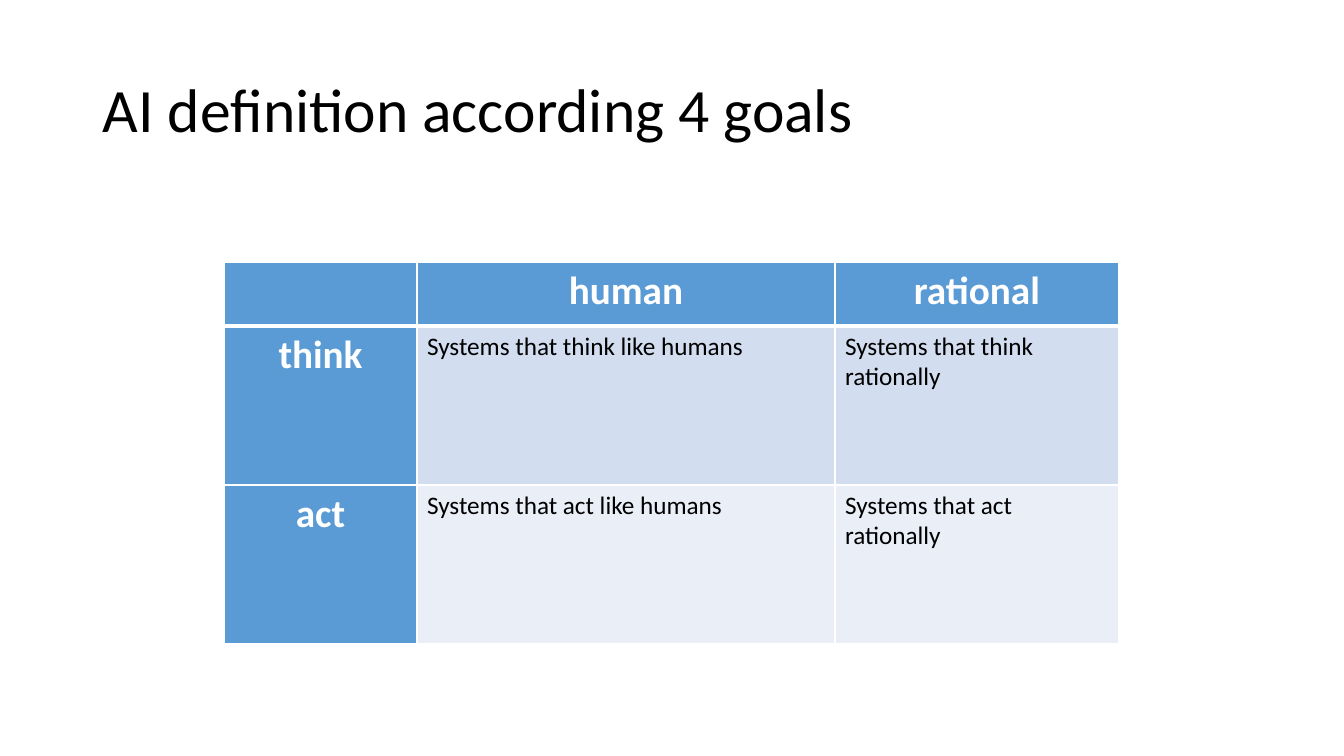
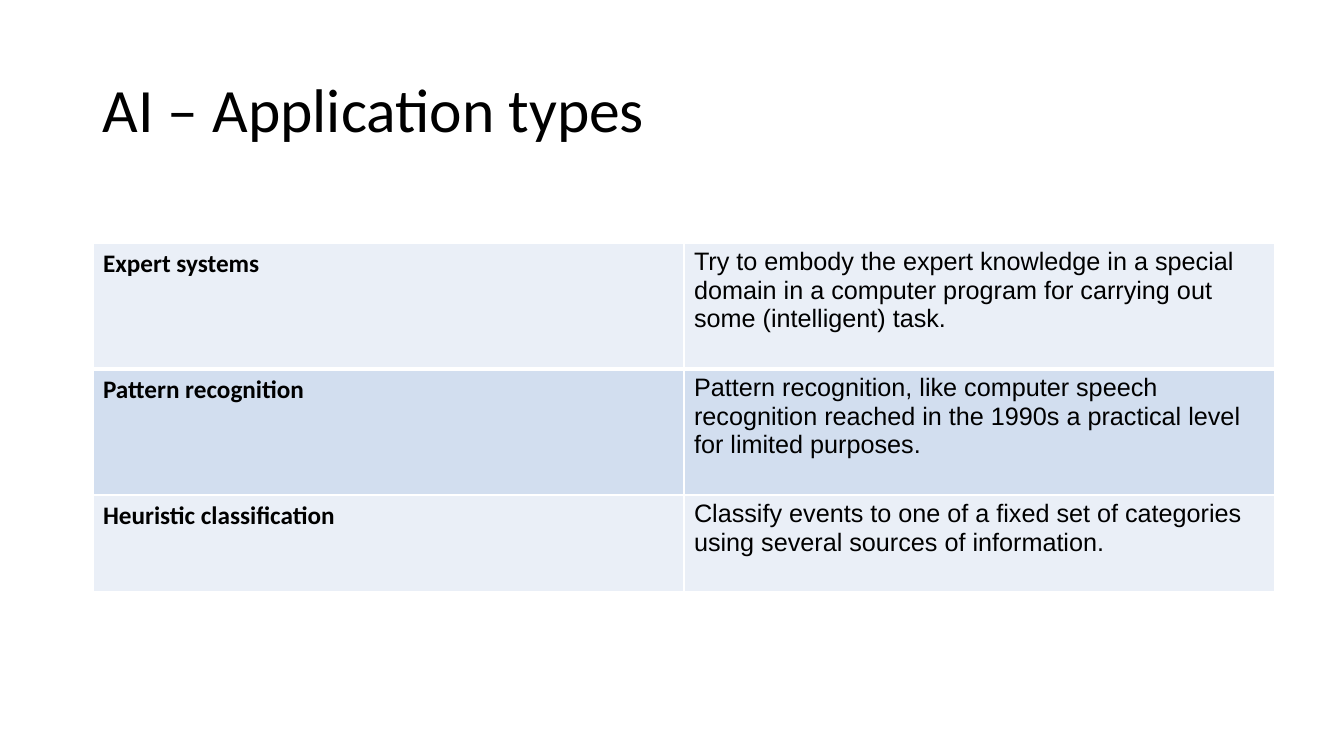
from lxml import etree
from pptx import Presentation
from pptx.dml.color import RGBColor
from pptx.enum.text import MSO_ANCHOR, PP_ALIGN
from pptx.oxml.ns import qn
from pptx.util import Emu, Pt

MIDDLE = MSO_ANCHOR.MIDDLE
LEFT, CENTER = PP_ALIGN.LEFT, PP_ALIGN.CENTER
EMU_PER_PX = 914400 / 100.8
BLANK_LAYOUT = 6
COLORS = {
    "text": "000000",
    "white": "FFFFFF",
    "accent": "5B9BD5",
    "band_dark": "D2DEEF",
    "band_light": "EAEFF7",
}
TITLE_BOX = (93, 40, 1159, 146)
TITLE_STYLE = {"font": "Calibri", "size": 44, "color": "text", "bold": False}
CELL_STYLES = {
    "header": {"font": "Calibri", "size": 28, "color": "white", "bold": True, "align": CENTER},
    "body": {"font": "Calibri", "size": 18, "color": "text", "bold": False},
    "term": {"font": "Calibri", "size": 18, "color": "text", "bold": True},
    "description": {"font": "Arial", "size": 18, "color": "text", "bold": False},
}
GOALS = [
    ["", "human", "rational"],
    ["think", "Systems that think like humans", "Systems that think rationally"],
    ["act", "Systems that act like humans", "Systems that act rationally"],
]
APPLICATIONS = [
    ["Expert systems",
     "Try to embody the expert knowledge in a special domain in a computer "
     "program for carrying out some (intelligent) task."],
    ["Pattern recognition",
     "Pattern recognition, like computer speech recognition reached in the "
     "1990s a practical level for limited purposes."],
    ["Heuristic classification",
     "Classify events to one of a fixed set of categories using several "
     "sources of information."],
]


def px(length):
    """Convert pixels to EMU."""
    return Emu(round(length * EMU_PER_PX))


def rgb(name):
    """Look up a named colour."""
    return RGBColor.from_string(COLORS[name])


def add_run(paragraph, text, style):
    """Append one styled run and align its paragraph."""
    paragraph.alignment = style.get("align", LEFT)
    run = paragraph.add_run()
    run.text = text
    run.font.name = style["font"]
    run.font.size = Pt(style["size"])
    run.font.bold = style["bold"]
    run.font.color.rgb = rgb(style["color"])


def add_title(slide, text, box):
    """Place the slide title, vertically centred in its box."""
    frame = slide.shapes.add_textbox(*map(px, box)).text_frame
    frame.word_wrap = True
    frame.vertical_anchor = MIDDLE
    paragraph = frame.paragraphs[0]
    paragraph.line_spacing = 0.9
    add_run(paragraph, text, TITLE_STYLE)


def set_borders(cell, top, bottom):
    """Draw white cell borders, with top and bottom widths in points."""
    properties = cell._tc.get_or_add_tcPr()
    for side, width in (("L", 1), ("R", 1), ("T", top), ("B", bottom)):
        line = etree.SubElement(properties, qn(f"a:ln{side}"), w=str(Pt(width)))
        fill = etree.SubElement(line, qn("a:solidFill"))
        etree.SubElement(fill, qn("a:srgbClr"), val=COLORS["white"])


def add_table(slide, origin, widths, heights, rows, cell_look):
    """Place a table whose cell_look(row, column) gives style and fill names."""
    size = (sum(widths), sum(heights))
    frame = slide.shapes.add_table(len(rows), len(widths), *map(px, origin + size))
    table = frame.table
    table.first_row = table.horz_banding = False
    for column, width in zip(table.columns, widths):
        column.width = px(width)
    for row, height in zip(table.rows, heights):
        row.height = px(height)
    for row_index, texts in enumerate(rows):
        for column_index, text in enumerate(texts):
            cell = table.cell(row_index, column_index)
            style, fill = cell_look(row_index, column_index)
            set_borders(cell, 3 if row_index == 1 else 1, 3 if row_index == 0 else 1)
            cell.fill.solid()
            cell.fill.fore_color.rgb = rgb(fill)
            if text:
                add_run(cell.text_frame.paragraphs[0], text, CELL_STYLES[style])


def band(row):
    """Return the fill of a body row."""
    return "band_dark" if row % 2 else "band_light"


def goal_look(row, column):
    """Style the goal grid: headers along the top and left."""
    if row == 0 or column == 0:
        return "header", "accent"
    return "body", band(row)


def application_look(row, column):
    """Style the application list: bold terms, then descriptions."""
    return "description" if column else "term", band(row)


def add_table_slide(presentation, title, *table_parts):
    """Add a slide with a title and one table."""
    slide = presentation.slides.add_slide(presentation.slide_layouts[BLANK_LAYOUT])
    add_title(slide, title, TITLE_BOX)
    add_table(slide, *table_parts)


def main():
    """Build and save the presentation."""
    presentation = Presentation()
    presentation.slide_width = px(1344)
    presentation.slide_height = px(756)
    add_table_slide(presentation, "AI definition according 4 goals",
                    (224, 262), (193, 418, 284), (64, 159, 159), GOALS, goal_look)
    add_table_slide(presentation, "AI – Application types",
                    (93, 243), (591, 591), (126, 126, 97), APPLICATIONS, application_look)
    presentation.save("out.pptx")


if __name__ == "__main__":
    main()
